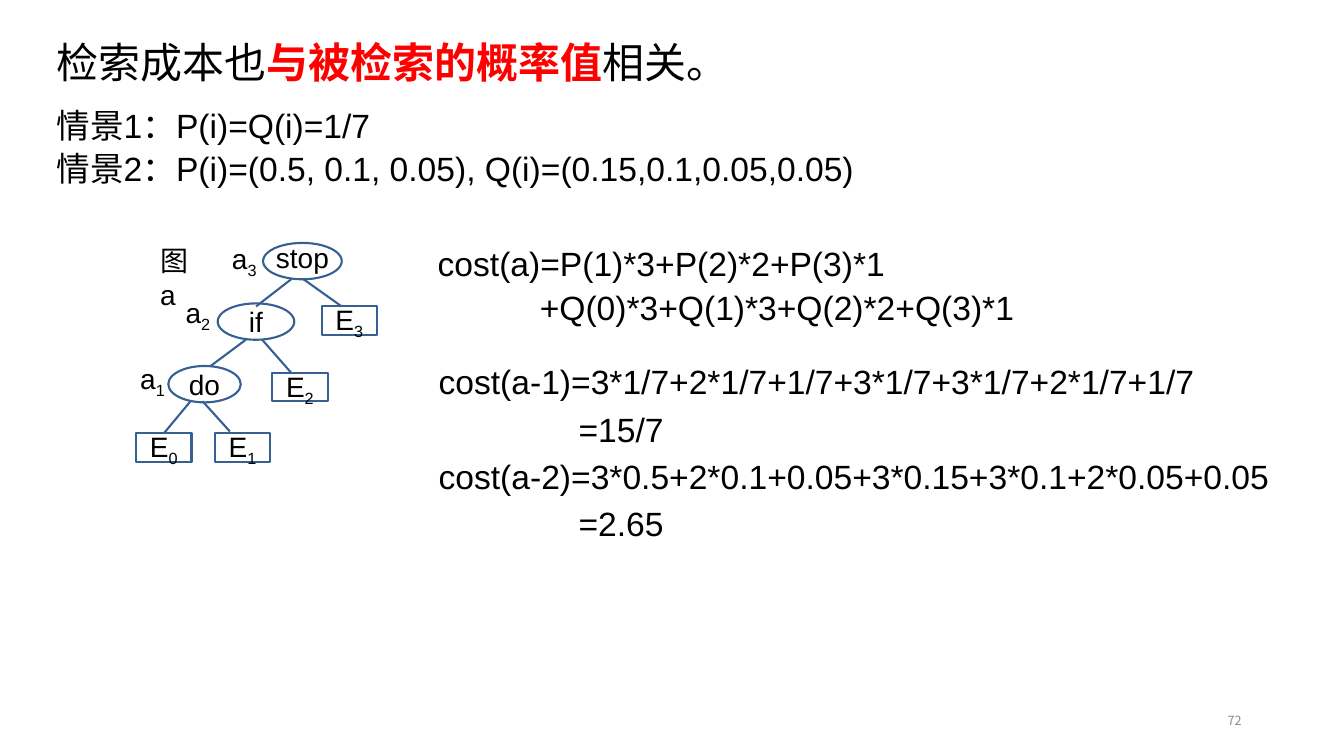
from pptx import Presentation
from pptx.dml.color import RGBColor
from pptx.enum.shapes import MSO_CONNECTOR as LINE, MSO_SHAPE as SHAPE
from pptx.enum.text import MSO_ANCHOR as ANCHOR, MSO_AUTO_SIZE as FIT, PP_ALIGN as ALIGN
from pptx.oxml.ns import qn
from pptx.util import Pt
from lxml.etree import SubElement

COLORS = {"ink": "000000", "accent": "FF0000", "tree": "376092", "number": "8C8C8C"}
LATIN, CJK = "Arial", "Noto Sans CJK SC"
OVAL_HEIGHT = 26
LEAF_SIZE = (39.6, 20.2)
LABEL_SIZE = (31, 16.6)

TERMS = {
    "stop": (187.9, 173.5, 56.2),
    "if": (155.5, 216.7, 54.7),
    "do": (120.2, 261.4, 51.8),
}
LEAVES = {"3": (229.7, 218.9), "2": (194.4, 266.4), "1": (153.4, 309.6), "0": (97.2, 309.6)}
LABELS = {"3": (162.7, 174.2), "2": (129.6, 213), "1": (97.2, 259.9)}
BRANCHES = [
    (208.1, 199.4, 182.9, 218.9, None),
    (216.7, 199.4, 244.1, 218.9, None),
    (175.7, 242.6, 150.5, 261.4, None),
    (187.2, 242.6, 208.1, 266.4, None),
    (136.1, 286.6, 120.2, 308.2, "0"),
    (144.7, 286.6, 164.2, 308.2, None),
]
SCENARIOS = [
    ("1", "P(i)=Q(i)=1/7"),
    ("2", "P(i)=(0.5, 0.1, 0.05), Q(i)=(0.15,0.1,0.05,0.05)"),
]
COST_RULE = [
    ("cost(a)=P(1)*3+P(2)*2+P(3)*1", 0),
    ("+Q(0)*3+Q(1)*3+Q(2)*2+Q(3)*1", 73),
]
COST_VALUES = [
    ("cost(a-1)=3*1/7+2*1/7+1/7+3*1/7+3*1/7+2*1/7+1/7", 0),
    ("=15/7", 100),
    ("cost(a-2)=3*0.5+2*0.1+0.05+3*0.15+3*0.1+2*0.05+0.05", 0),
    ("=2.65", 100),
]


def color(name):
    return RGBColor.from_string(COLORS[name])


def add_run(paragraph, text, size, face=LATIN, ink="ink", bold=False):
    run = paragraph.add_run()
    run.text = text
    run.font.size = Pt(size)
    run.font.bold = bold
    run.font.name = face
    run.font.color.rgb = color(ink)
    SubElement(run.font._element, qn("a:ea"), typeface=CJK)
    return run


def add_indexed(paragraph, letter, index):
    add_run(paragraph, letter, 20)
    add_run(paragraph, index, 20).font._element.set("baseline", "-25000")


def set_frame(frame, inset=3, anchor=ANCHOR.TOP, wrap=True):
    frame.auto_size = FIT.NONE
    frame.word_wrap = wrap
    frame.vertical_anchor = anchor
    frame.margin_left = frame.margin_right = Pt(inset)
    frame.margin_top = frame.margin_bottom = Pt(inset)
    return frame


def set_indent(paragraph, left):
    properties = paragraph._p.get_or_add_pPr()
    properties.set("marL", str(Pt(left)))
    properties.set("indent", "0")
    return properties


def place(holder, left, top, width, height):
    holder.left, holder.top = Pt(left), Pt(top)
    holder.width, holder.height = Pt(width), Pt(height)
    return set_frame(holder.text_frame)


def add_box(slide, left, top, width, height, **frame_options):
    box = slide.shapes.add_textbox(Pt(left), Pt(top), Pt(width), Pt(height))
    return set_frame(box.text_frame, **frame_options)


def add_node(slide, kind, left, top, width, height, inset):
    node = slide.shapes.add_shape(kind, Pt(left), Pt(top), Pt(width), Pt(height))
    node.shadow.inherit = False
    node.fill.background()
    node.line.color.rgb = color("tree")
    node.line.width = Pt(1.5)
    frame = set_frame(node.text_frame, inset, ANCHOR.MIDDLE, False)
    frame.paragraphs[0].alignment = ALIGN.CENTER
    return node


def add_branch(slide, x1, y1, x2, y2, leaf):
    branch = slide.shapes.add_connector(LINE.STRAIGHT, Pt(x1), Pt(y1), Pt(x2), Pt(y2))
    branch.line.color.rgb = color("tree")
    branch.line.width = Pt(1.5)
    SubElement(branch._element.spPr, qn("a:effectLst"))
    if leaf is not None:
        branch.end_connect(leaf, 0)


def add_formula(slide, lines, place_at, line_spacing, gap):
    frame = add_box(slide, *place_at)
    for row, (text, left) in enumerate(lines):
        paragraph = frame.add_paragraph() if row else frame.paragraphs[0]
        set_indent(paragraph, left)
        paragraph.line_spacing = line_spacing
        paragraph.space_before = Pt(gap if row else 0)
        add_run(paragraph, text, 24)


def add_heading(slide):
    heading = place(slide.shapes.title, 37.4, 23, 808, 48).paragraphs[0]
    heading.alignment = ALIGN.LEFT
    heading.line_spacing = 1.0
    heading.space_before = Pt(0)
    add_run(heading, "检索成本也", 30, CJK)
    add_run(heading, "与被检索的概率值", 30, CJK, "accent", True)
    add_run(heading, "相关。", 30, CJK)


def add_scenarios(slide):
    frame = place(slide.placeholders[1], 37.4, 70.3, 808, 70)
    for row, (number, values) in enumerate(SCENARIOS):
        paragraph = frame.add_paragraph() if row else frame.paragraphs[0]
        SubElement(set_indent(paragraph, 0), qn("a:buNone"))
        paragraph.line_spacing = Pt(30.7)
        paragraph.space_before = Pt(0)
        add_run(paragraph, "情景", 24, CJK)
        add_run(paragraph, number, 24)
        add_run(paragraph, "：", 24, CJK)
        add_run(paragraph, values, 24)


def add_tree(slide):
    caption = add_box(slide, 107.3, 167, 44, 56, inset=7.2).paragraphs[0]
    add_run(caption, "图", 20, CJK)
    add_run(caption, "a", 20)

    for term, (left, top, width) in TERMS.items():
        node = add_node(slide, SHAPE.OVAL, left, top, width, OVAL_HEIGHT, 3.6)
        paragraph = node.text_frame.paragraphs[0]
        paragraph.line_spacing = 0.7 if term == "stop" else 1.0
        add_run(paragraph, term, 20)

    leaves = {}
    for index, corner in LEAVES.items():
        leaves[index] = add_node(slide, SHAPE.RECTANGLE, *corner, *LEAF_SIZE, 3)
        paragraph = leaves[index].text_frame.paragraphs[0]
        paragraph.line_spacing = 0.9
        add_indexed(paragraph, "E", index)

    for index, corner in LABELS.items():
        paragraph = add_box(slide, *corner, *LABEL_SIZE).paragraphs[0]
        paragraph.line_spacing = 0.7
        add_indexed(paragraph, "a", index)

    for *ends, leaf in BRANCHES:
        add_branch(slide, *ends, leaves.get(leaf))


def add_page_number(slide):
    number = add_box(slide, 678, 500.4, 216, 28.8, inset=7.2, anchor=ANCHOR.MIDDLE).paragraphs[0]
    number.alignment = ALIGN.RIGHT
    add_run(number, "72", 9, CJK, "number")


def main():
    deck = Presentation()
    deck.slide_width, deck.slide_height = Pt(960), Pt(540)
    slide = deck.slides.add_slide(deck.slide_layouts[1])
    add_heading(slide)
    add_scenarios(slide)
    add_tree(slide)
    add_formula(slide, COST_RULE, (309.6, 173.5, 436, 64), 0.9, 5.75)
    add_formula(slide, COST_VALUES, (310.3, 255, 629, 135), 1.0, 5)
    add_page_number(slide)
    deck.save("out.pptx")


if __name__ == "__main__":
    main()
